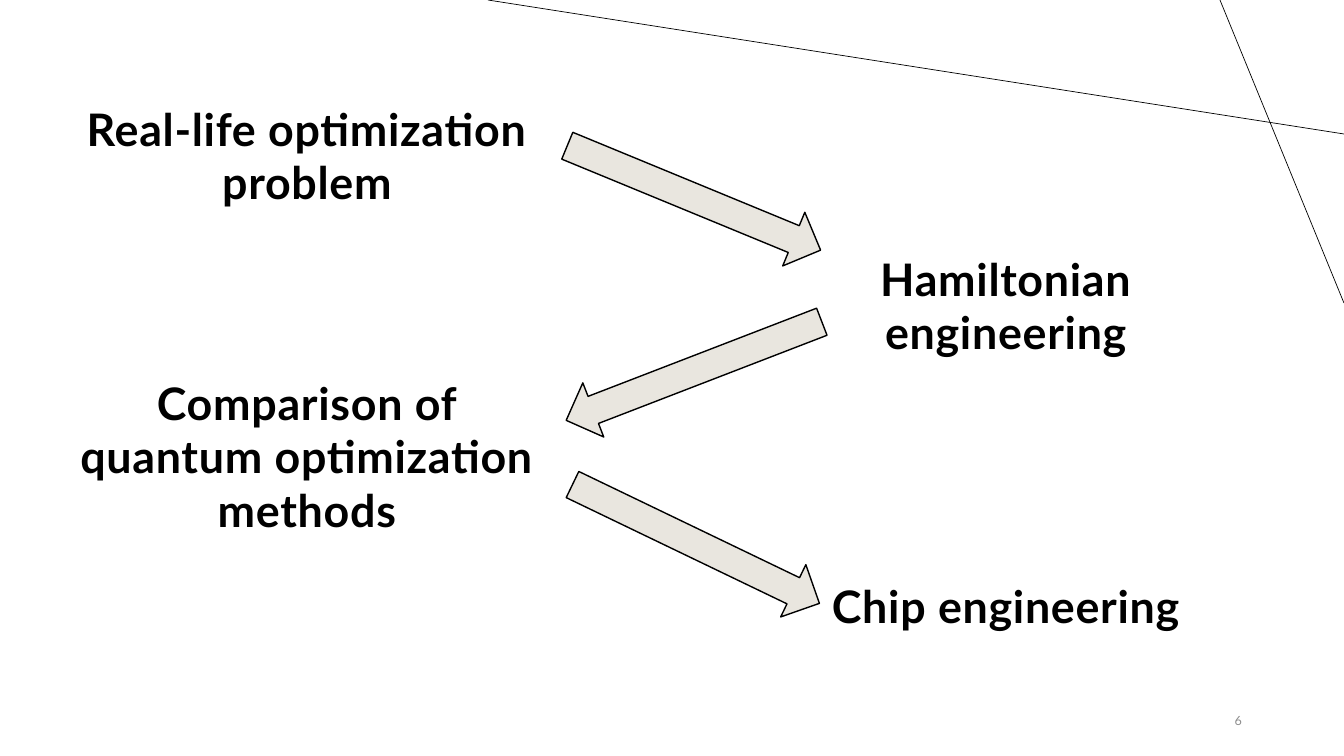
from pptx import Presentation
from pptx import util as u
from pptx.dml.color import RGBColor
from pptx.enum import shapes, text
from pptx.oxml.ns import qn
from lxml import etree

STEPS = [
    "Real-life optimization problem",
    "Hamiltonian engineering",
    "Comparison of quantum optimization methods",
    "Chip engineering",
]
ARROWS = [(557, 22.4), (557, 158.9), (559, 25.7)]
CORNER_LINES = [((1344, 134), (488, 0)), ((1220, 0), (1344, 303))]
PAGE_NUMBER = "6"
COLORS = {"ink": "000000", "arrow": "E9E6DF", "page": "8C8C8C"}
FONT = "Lato"
COLUMNS = (61, 760)
STEP_TOP, TWO_STEPS = 91, 301
ARROW_TOP, ARROW_PITCH = 169, 173


def px(n):
    return round(n * 914400 / 100.8)


def color(name):
    return RGBColor.from_string(COLORS[name])


def add_label(slide, wording, box, size, ink, align, insets):
    label = slide.shapes.add_textbox(*map(px, box))
    frame = label.text_frame
    frame.word_wrap = True
    frame.vertical_anchor = text.MSO_ANCHOR.MIDDLE
    frame.margin_left = frame.margin_right = px(10)
    frame.margin_top, frame.margin_bottom = map(px, insets)
    paragraph = frame.paragraphs[0]
    paragraph.alignment = align
    run = paragraph.add_run()
    run.text = wording
    run.font.name = FONT
    run.font.size = u.Pt(size)
    run.font.color.rgb = color(ink)
    return run


def main():
    deck = Presentation()
    deck.slide_width, deck.slide_height = px(1344), px(756)
    slide = deck.slides.add_slide(deck.slide_layouts[6])

    for start, end in CORNER_LINES:
        line = slide.shapes.add_connector(
            shapes.MSO_CONNECTOR.STRAIGHT, *map(px, start + end))
        line.line.color.rgb = color("ink")
        line.line.width = u.Pt(0.5)
        etree.SubElement(line._element.spPr, qn("a:effectLst"))

    for i, step in enumerate(STEPS):
        box = (COLUMNS[i % 2], STEP_TOP + i * TWO_STEPS // 2, 492, 133)
        run = add_label(slide, step, box, 32, "ink", text.PP_ALIGN.CENTER, (0, 5))
        run.font.bold = True
        run._r.get_or_add_rPr().set("spc", "50")

    add_label(slide, PAGE_NUMBER, (1143, 701, 109, 40), 9, "page",
              text.PP_ALIGN.RIGHT, (5, 5))

    for i, (left, angle) in enumerate(ARROWS):
        arrow = slide.shapes.add_shape(
            shapes.MSO_SHAPE.RIGHT_ARROW,
            *map(px, (left, ARROW_TOP + i * ARROW_PITCH, 274, 58)))
        arrow.rotation = angle
        arrow.shadow.inherit = False
        arrow.fill.solid()
        arrow.fill.fore_color.rgb = color("arrow")
        arrow.line.color.rgb = color("ink")
        arrow.line.width = u.Pt(1)

    deck.save("out.pptx")


if __name__ == "__main__":
    main()
